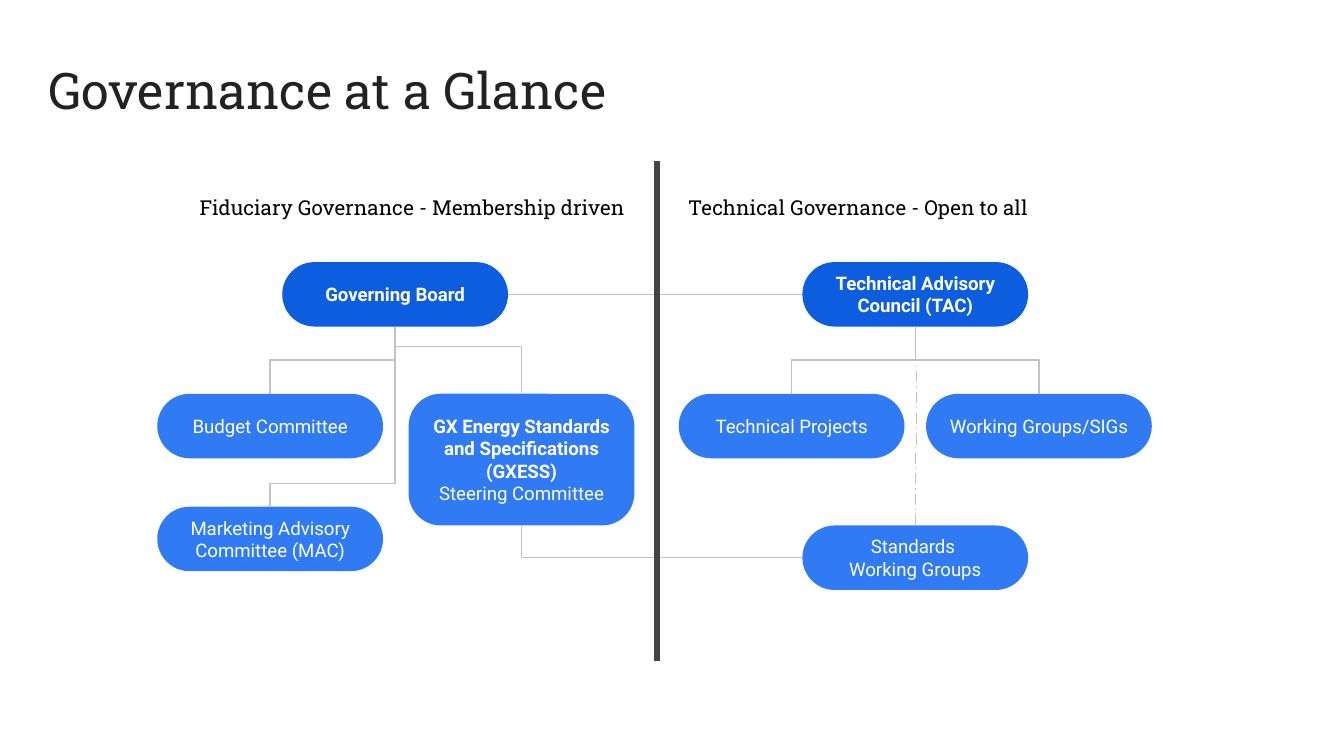
from lxml.etree import SubElement
from pptx import Presentation
from pptx.dml.color import RGBColor
from pptx.enum.dml import MSO_LINE
from pptx.enum.shapes import MSO_CONNECTOR, MSO_SHAPE
from pptx.enum.text import MSO_ANCHOR, MSO_AUTO_SIZE, PP_ALIGN
from pptx.oxml.ns import qn
from pptx.util import Inches, Pt

DARK_BLUE = RGBColor(0x0D, 0x5D, 0xDF)
BLUE = RGBColor(0x30, 0x7B, 0xF3)
WHITE = RGBColor(0xFF, 0xFF, 0xFF)
BLACK = RGBColor(0, 0, 0)
TITLE_INK = RGBColor(0x22, 0x22, 0x22)
LINK_GREY = RGBColor(0xC2, 0xC2, 0xC2)
DIVIDER_GREY = RGBColor(0x43, 0x43, 0x43)

SLIDE_WIDTH = Inches(10)
SLIDE_HEIGHT = SLIDE_WIDTH * 9 // 16
BOX_WIDTH, BOX_HEIGHT, TALL_HEIGHT = 1.68, 0.48, 0.98
CORNER = 0.24
TOP_ROW, MIDDLE_ROW = 1.95, 2.93

# text, left, top, width, height, inset, size, colour, alignment, fit
TEXTS = {
    "title": ("Governance at a Glance", 0.26, 0.34, 6.99, 0.5, 0.1, 27,
              TITLE_INK, PP_ALIGN.LEFT, MSO_AUTO_SIZE.NONE),
    "fiduciary": ("Fiduciary Governance - Membership driven", 0.64, 1.38, 4.08,
                  0.34, 0.07, 11, BLACK, PP_ALIGN.RIGHT,
                  MSO_AUTO_SIZE.SHAPE_TO_FIT_TEXT),
    "technical": ("Technical Governance - Open to all", 5.05, 1.38, 4.08,
                  0.34, 0.07, 11, BLACK, PP_ALIGN.LEFT,
                  MSO_AUTO_SIZE.SHAPE_TO_FIT_TEXT),
}

# left, top, height, fill, [(paragraph, bold)]
BODIES = {
    "tac": (5.97, TOP_ROW, BOX_HEIGHT, DARK_BLUE,
            [("Technical Advisory Council (TAC)", True)]),
    "board": (2.1, TOP_ROW, BOX_HEIGHT, DARK_BLUE, [("Governing Board", True)]),
    "budget": (1.17, MIDDLE_ROW, BOX_HEIGHT, BLUE, [("Budget Committee", False)]),
    "marketing": (1.17, 3.77, BOX_HEIGHT, BLUE,
                  [("Marketing Advisory Committee (MAC)", False)]),
    "projects": (5.05, MIDDLE_ROW, BOX_HEIGHT, BLUE, [("Technical Projects", False)]),
    "groups": (6.89, MIDDLE_ROW, BOX_HEIGHT, BLUE, [("Working Groups/SIGs", False)]),
    "steering": (3.04, MIDDLE_ROW, TALL_HEIGHT, BLUE,
                 [("GX Energy Standards and Specifications (GXESS)", True),
                  ("Steering Committee", False)]),
    "standards": (5.97, 3.91, BOX_HEIGHT, BLUE,
                  [("Standards ", False), ("Working Groups", False)]),
}

# parent, child, share of the drop at which the link turns
BRANCHES = [
    ("board", "marketing", 0.87),
    ("board", "budget", 0.5),
    ("tac", "groups", 0.5),
    ("tac", "projects", 0.5),
]
STEERING_TURN = 2.58
DASH_TOP = 2.7


def anchor(body, side):
    left, top, height = BODIES[body][:3]
    across, down = {"top": (0.5, 0), "bottom": (0.5, 1),
                    "left": (0, 0.5), "right": (1, 0.5)}[side]
    return left + across * BOX_WIDTH, top + down * height


def style_runs(paragraph, font_name, size, colour, bold=False):
    for run in paragraph.runs:
        run.font.name = font_name
        run.font.size = Pt(size)
        run.font.color.rgb = colour
        run.font.bold = bold


def set_insets(frame, inset):
    frame.word_wrap = True
    frame.margin_left = frame.margin_right = Inches(inset)
    frame.margin_top = frame.margin_bottom = Inches(inset)


def add_text(slide, text, left, top, width, height, inset, size, colour,
             alignment, fit):
    box = slide.shapes.add_textbox(*map(Inches, (left, top, width, height)))
    set_insets(box.text_frame, inset)
    box.text_frame.auto_size = fit
    paragraph = box.text_frame.paragraphs[0]
    paragraph.text = text
    paragraph.alignment = alignment
    style_runs(paragraph, "Roboto Slab", size, colour)


def add_body(slide, left, top, height, fill, lines):
    box = slide.shapes.add_shape(MSO_SHAPE.ROUNDED_RECTANGLE,
                                 *map(Inches, (left, top, BOX_WIDTH, height)))
    box.adjustments[0] = CORNER / height
    box.shadow.inherit = False
    box.fill.solid()
    box.fill.fore_color.rgb = fill
    box.line.fill.background()
    frame = box.text_frame
    set_insets(frame, 0.1)
    frame.vertical_anchor = MSO_ANCHOR.MIDDLE
    frame.text = "\n".join(text for text, _ in lines)
    for paragraph, (_, bold) in zip(frame.paragraphs, lines):
        paragraph.alignment = PP_ALIGN.CENTER
        style_runs(paragraph, "Roboto", 10, WHITE, bold)


def add_line(slide, kind, begin, end, colour, weight):
    line = slide.shapes.add_connector(kind, *map(Inches, (*begin, *end)))
    line.line.color.rgb = colour
    line.line.width = Pt(weight)
    SubElement(line._element.spPr, qn("a:effectLst"))
    return line


def add_elbow(slide, begin, end, rotation=0, flip=False, turn=0.5, corners=2):
    """Add a bent link; a quarter turn swaps the sides of its frame."""
    (x1, y1), (x2, y2) = begin, end
    half_width, half_height = abs(x2 - x1) / 2, abs(y2 - y1) / 2
    if rotation % 180:
        half_width, half_height = half_height, half_width
    x, y = (x1 + x2) / 2, (y1 + y2) / 2
    link = add_line(slide, MSO_CONNECTOR.ELBOW, (x - half_width, y - half_height),
                    (x + half_width, y + half_height), LINK_GREY, 0.75)
    properties = link._element.spPr
    frame = properties.find(qn("a:xfrm"))
    if rotation:
        frame.set("rot", str(rotation * 60000))
    if flip:
        frame.set("flipH", "1")
    geometry = properties.find(qn("a:prstGeom"))
    geometry.set("prst", f"bentConnector{corners + 1}")
    if turn != 0.5:
        SubElement(geometry.find(qn("a:avLst")), qn("a:gd"), name="adj1",
                   fmla=f"val {round(turn * 100000)}")
    return link


def add_links(slide):
    add_elbow(slide, anchor("board", "right"), anchor("tac", "left"))
    for parent, child, turn in BRANCHES:
        begin, end = anchor(parent, "bottom"), anchor(child, "top")
        goes_right = end[0] > begin[0]
        add_elbow(slide, begin, end, 270 if goes_right else 90, goes_right, turn)
    add_elbow(slide, (anchor("board", "bottom")[0], STEERING_TURN),
              anchor("steering", "top"), corners=1)
    add_elbow(slide, anchor("standards", "left"), anchor("steering", "bottom"),
              rotation=180, corners=1)
    standards_top = anchor("standards", "top")
    dashed = add_elbow(slide, standards_top, (standards_top[0] + 0.01, DASH_TOP),
                       rotation=270)
    dashed.line.dash_style = MSO_LINE.LONG_DASH_DOT


def main():
    deck = Presentation()
    deck.slide_width, deck.slide_height = SLIDE_WIDTH, SLIDE_HEIGHT
    slide = deck.slides.add_slide(deck.slide_layouts[6])
    add_text(slide, *TEXTS["title"])
    for body in BODIES.values():
        add_body(slide, *body)
    add_links(slide)
    add_line(slide, MSO_CONNECTOR.STRAIGHT, (4.89, 1.2), (4.89, 4.92), DIVIDER_GREY, 3)
    for side in ("fiduciary", "technical"):
        add_text(slide, *TEXTS[side])
    deck.save("out.pptx")


if __name__ == "__main__":
    main()
